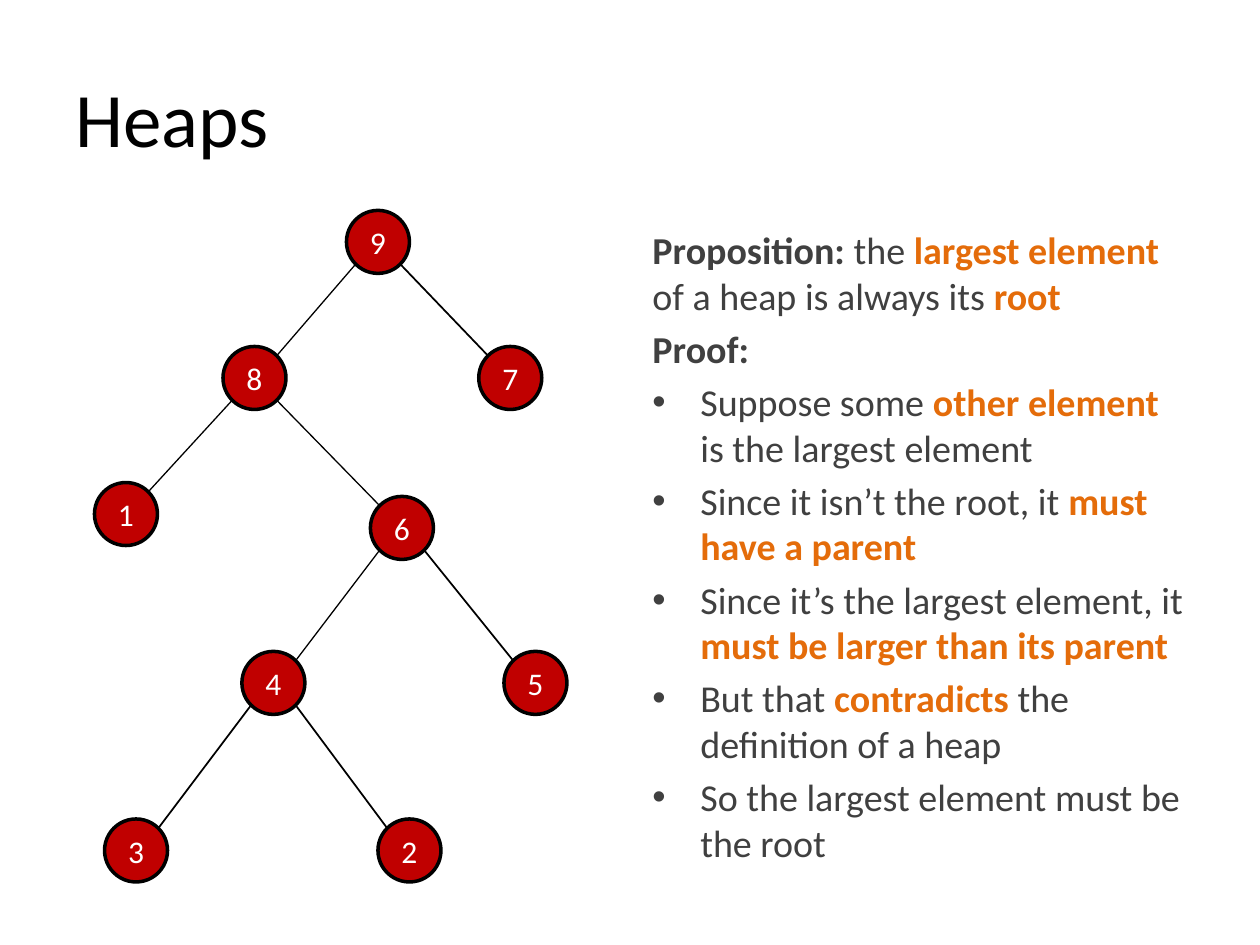
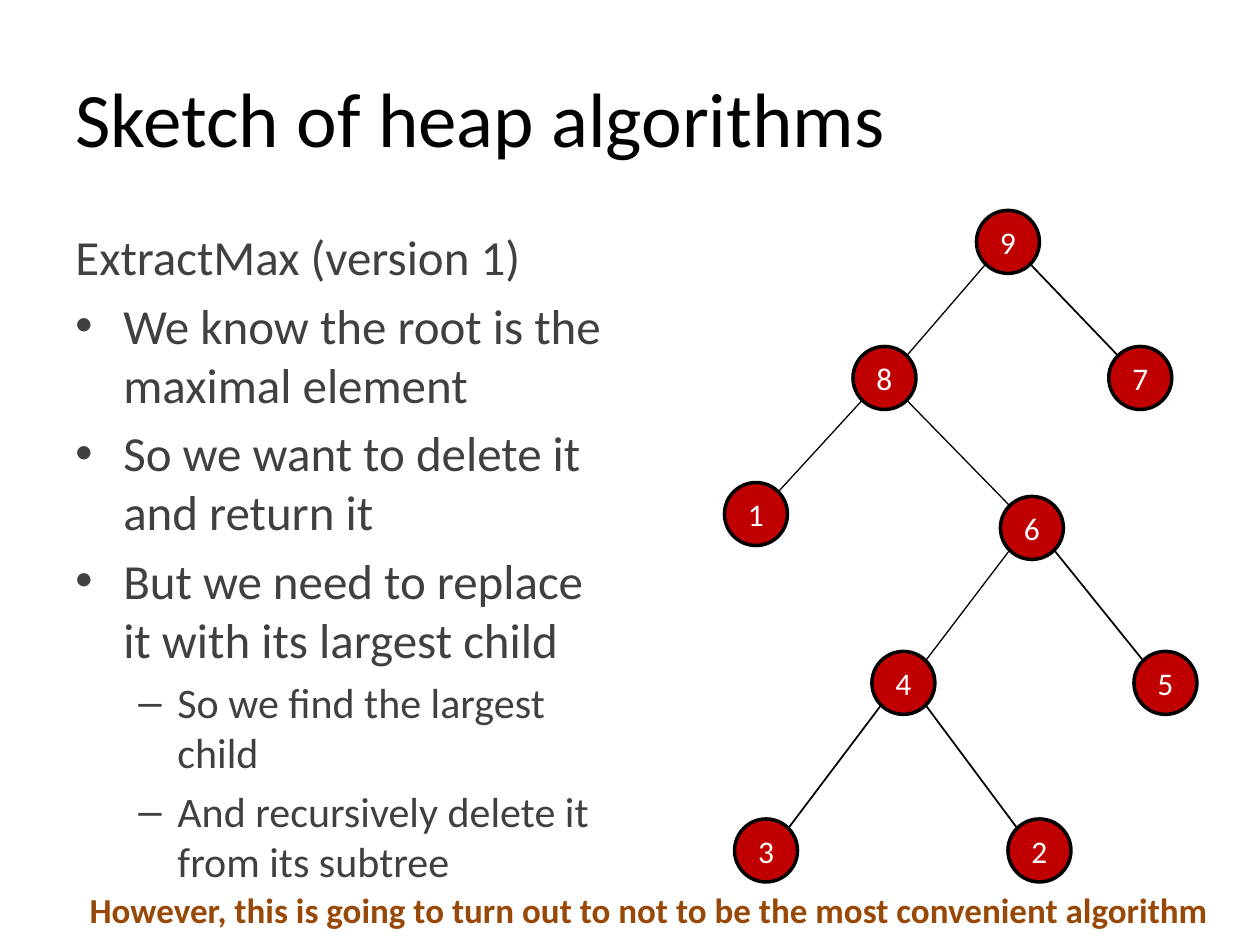
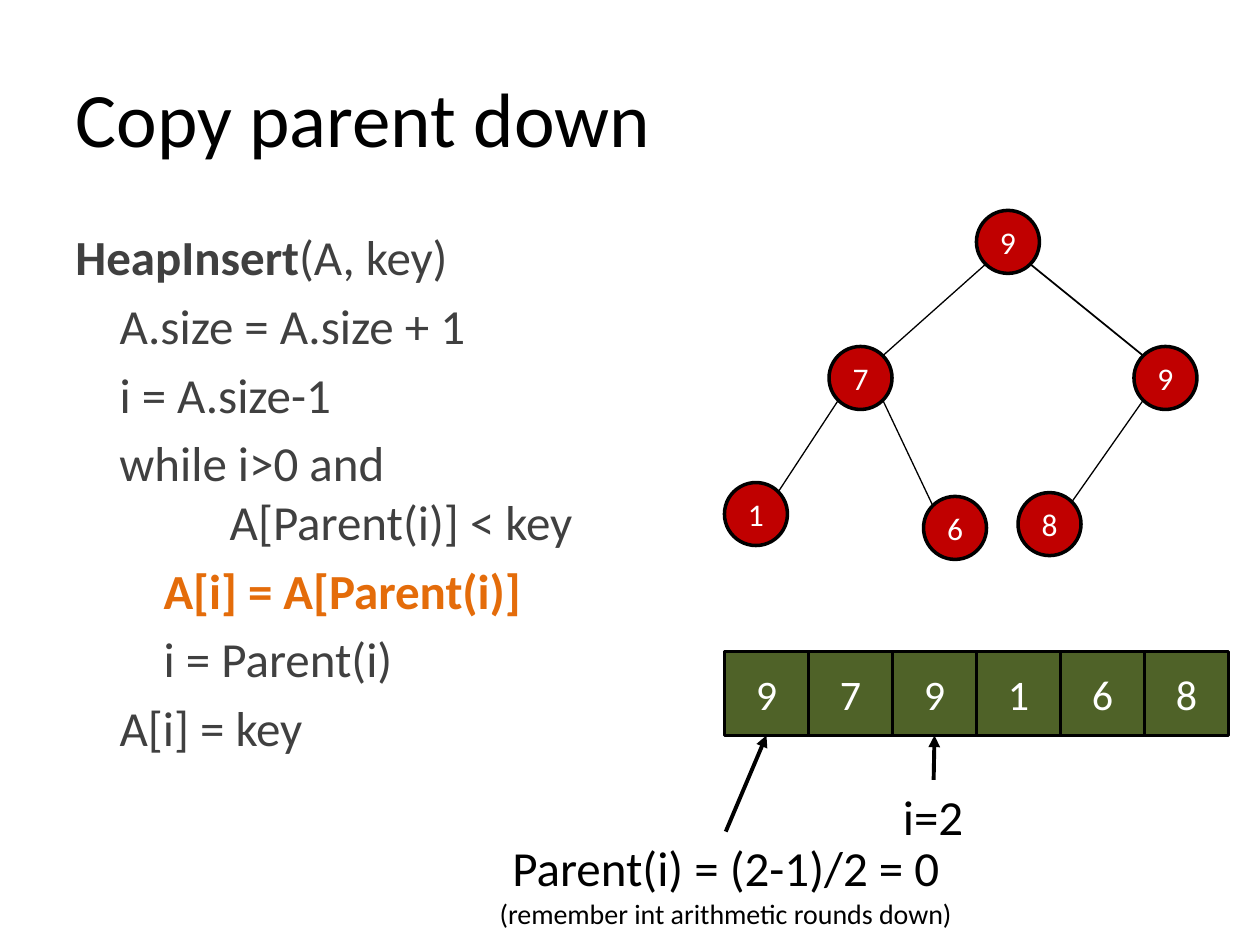
from dataclasses import dataclass
from math import sqrt

from lxml.etree import SubElement
from pptx import Presentation
from pptx.dml.color import RGBColor
from pptx.enum.shapes import MSO_CONNECTOR, MSO_SHAPE
from pptx.enum.text import MSO_ANCHOR, PP_ALIGN
from pptx.oxml.ns import qn
from pptx.util import Inches, Pt


@dataclass(frozen=True)
class Theme:
    font: str = "Calibri"
    ink: str = "000000"
    body: str = "404040"
    accent: str = "E46C0A"
    warning: str = "984807"
    node: str = "C00000"
    cell: str = "4F6228"
    light: str = "FFFFFF"
    title_size: float = 44
    large_size: float = 28
    medium_size: float = 24
    proof_size: float = 21.7
    remark_size: float = 20
    node_size: float = 18
    small_size: float = 16
    outline: float = 2
    arrow: float = 2.25
    thin: float = 0.75
    thick: float = 1


THEME = Theme()

# Run styles: colour and bold
STYLES = {
    "plain": (THEME.body, False),
    "strong": (THEME.body, True),
    "accent": (THEME.accent, True),
    "label": (THEME.ink, False),
    "light": (THEME.light, False),
    "warning": (THEME.warning, True),
}

# Paragraph levels: left margin, first-line indent, bullet
CODE_STEP = 0.35
LEVELS = {
    "flat": (0, 0, None),
    "bullet": (0.38, -0.38, "•"),
    "dash": (0.81, -0.31, "–"),
    "code": (CODE_STEP, 0, None),
    "wrapped code": (3.5 * CODE_STEP, -2.5 * CODE_STEP, None),
    "inner code": (2 * CODE_STEP, 0, None),
}

# Content: paragraphs are (level, size, runs), runs are (text, style)
PROOF = [
    ("flat", THEME.proof_size, [
        ("Proposition: ", "strong"), ("the ", "plain"), ("largest element ", "accent"),
        ("of a heap is always its ", "plain"), ("root", "accent")]),
    ("flat", THEME.proof_size, [("Proof:", "strong")]),
    ("bullet", THEME.proof_size, [
        ("Suppose some ", "plain"), ("other element ", "accent"),
        ("is the largest element", "plain")]),
    ("bullet", THEME.proof_size, [
        ("Since it isn’t the root, it ", "plain"), ("must have a parent", "accent")]),
    ("bullet", THEME.proof_size, [
        ("Since it’s the largest element, it ", "plain"),
        ("must be larger than its parent", "accent")]),
    ("bullet", THEME.proof_size, [
        ("But that ", "plain"), ("contradicts ", "accent"),
        ("the definition of a heap", "plain")]),
    ("bullet", THEME.proof_size, [("So the largest element must be the root", "plain")]),
]
EXTRACT_MAX = [
    ("flat", THEME.large_size, [("ExtractMax (version 1)", "plain")]),
    ("bullet", THEME.large_size, [("We know the root is the maximal element", "plain")]),
    ("bullet", THEME.large_size, [("So we want to delete it and return it", "plain")]),
    ("bullet", THEME.large_size, [
        ("But we need to replace it with its largest child", "plain")]),
    ("dash", THEME.medium_size, [("So we find the largest child", "plain")]),
    ("dash", THEME.medium_size, [("And recursively delete it from its subtree", "plain")]),
]
HEAP_INSERT = [
    ("flat", THEME.large_size, [("HeapInsert", "strong"), ("(A, key)", "plain")]),
    ("code", THEME.large_size, [("A.size = A.size + 1", "plain")]),
    ("code", THEME.large_size, [("i = A.size-1", "plain")]),
    ("wrapped code", THEME.large_size, [("while i>0 and\nA[Parent(i)] < key", "plain")]),
    ("inner code", THEME.large_size, [("A[i] = A[Parent(i)]", "accent")]),
    ("inner code", THEME.large_size, [("i = Parent(i)", "plain")]),
    ("code", THEME.large_size, [("A[i] = key", "plain")]),
]
REMARK = [("However, this is going to turn out to not to be the most convenient algorithm",
           "warning", THEME.remark_size)]
INDEX_NOTE = [("i=2", "label", THEME.large_size)]
PARENT_NOTE = [("Parent(i) = (2-1)/2 = 0\n", "label", THEME.large_size),
               ("(remember int arithmetic rounds down)", "label", THEME.small_size)]

# Tree nodes: label, left, top, position of the parent, width of the edge to it
LINKED_HEAP = [
    ("9", 2.75, 1.67, None, None),
    ("8", 1.77, 2.75, 0, THEME.thin),
    ("7", 3.8, 2.75, 0, THEME.thick),
    ("1", 0.75, 3.83, 1, THEME.thin),
    ("6", 2.94, 3.94, 1, THEME.thin),
    ("4", 1.92, 5.17, 4, THEME.thin),
    ("5", 4, 5.17, 4, THEME.thick),
    ("3", 0.83, 6.5, 5, THEME.thick),
    ("2", 3, 6.5, 5, THEME.thick),
]
ARRAY_HEAP = [
    ("9", 7.75, 1.67, None, None),
    ("7", 6.58, 2.75, 0, THEME.thin),
    ("9", 9, 2.75, 0, THEME.thick),
    ("1", 5.75, 3.83, 1, THEME.thin),
    ("6", 7.33, 3.94, 1, THEME.thin),
    ("8", 8.08, 3.91, 2, THEME.thin),
]
ARRAY_VALUES = "979168"
ARRAY_LEFT, ARRAY_TOP, CELL = 5.75, 5.17, 2 / 3
NODE = 0.5


# Text helpers
def add_run(paragraph, text, style, size):
    color, bold = STYLES[style]
    for position, line in enumerate(text.split("\n")):
        if position:
            paragraph.add_line_break()
        if line:
            run = paragraph.add_run()
            run.text = line
            run.font.name = THEME.font
            run.font.size = Pt(size)
            run.font.bold = bold
            run.font.color.rgb = RGBColor.from_string(color)


def set_level(paragraph, level):
    margin, indent, bullet = LEVELS[level]
    properties = paragraph._p.get_or_add_pPr()
    properties.set("marL", str(Inches(margin)))
    properties.set("indent", str(Inches(indent)))
    if bullet:
        SubElement(properties, qn("a:buFont")).set("typeface", "Arial")
        SubElement(properties, qn("a:buChar")).set("char", bullet)


def add_text_box(slide, box, wrap):
    frame = slide.shapes.add_textbox(*map(Inches, box)).text_frame
    frame.word_wrap = wrap
    return frame


def add_body(slide, box, content):
    frame = add_text_box(slide, box, True)
    for position, (level, size, runs) in enumerate(content):
        paragraph = frame.add_paragraph() if position else frame.paragraphs[0]
        paragraph.space_before = Pt(size * 0.2)
        set_level(paragraph, level)
        for text, style in runs:
            add_run(paragraph, text, style, size)


def add_note(slide, box, runs):
    paragraph = add_text_box(slide, box, False).paragraphs[0]
    paragraph.alignment = PP_ALIGN.CENTER
    for text, style, size in runs:
        add_run(paragraph, text, style, size)


# Diagram helpers
def add_labelled_shape(slide, kind, left, top, side, fill, label, size):
    shape = slide.shapes.add_shape(kind, *map(Inches, (left, top, side, side)))
    shape.shadow.inherit = False
    shape.fill.solid()
    shape.fill.fore_color.rgb = RGBColor.from_string(fill)
    shape.line.color.rgb = RGBColor.from_string(THEME.ink)
    shape.line.width = Pt(THEME.outline)
    frame = shape.text_frame
    frame.margin_left = frame.margin_right = frame.margin_top = frame.margin_bottom = 0
    frame.vertical_anchor = MSO_ANCHOR.MIDDLE
    frame.paragraphs[0].alignment = PP_ALIGN.CENTER
    add_run(frame.paragraphs[0], label, "light", size)


def add_line(slide, start, end, width, arrow=False):
    connector = slide.shapes.add_connector(
        MSO_CONNECTOR.STRAIGHT, *map(Inches, (*start, *end)))
    connector.line.color.rgb = RGBColor.from_string(THEME.ink)
    connector.line.width = Pt(width)
    if arrow:
        SubElement(connector.line._get_or_add_ln(), qn("a:tailEnd")).set("type", "triangle")
    SubElement(connector._element.spPr, qn("a:effectLst"))


def add_tree(slide, nodes, shift=0):
    centers = [(left + shift + NODE / 2, top + NODE / 2) for _, left, top, _, _ in nodes]
    diagonal = NODE / 2 / sqrt(2)
    for (label, left, top, parent, width), (x, y) in zip(nodes, centers):
        add_labelled_shape(slide, MSO_SHAPE.OVAL, left + shift, top, NODE,
                           THEME.node, label, THEME.node_size)
        if parent is not None:
            parent_x, parent_y = centers[parent]
            reach = diagonal if x > parent_x else -diagonal
            add_line(slide, (parent_x + reach, parent_y + diagonal),
                     (x - reach, y - diagonal), width)


def add_array(slide, values):
    for position, value in enumerate(values):
        add_labelled_shape(slide, MSO_SHAPE.RECTANGLE, ARRAY_LEFT + position * CELL,
                           ARRAY_TOP, CELL, THEME.cell, value, THEME.medium_size)


def point_to_cell(slide, start, position):
    end = (ARRAY_LEFT + (position + 0.5) * CELL, ARRAY_TOP + CELL)
    add_line(slide, start, end, THEME.arrow, arrow=True)


# Slides
def add_slide(presentation, title):
    slide = presentation.slides.add_slide(presentation.slide_layouts[5])
    placeholder = slide.shapes.title
    placeholder.left, placeholder.top = Inches(0.5), Inches(0.3)
    placeholder.width, placeholder.height = Inches(9), Inches(1.25)
    frame = placeholder.text_frame
    frame.vertical_anchor = MSO_ANCHOR.MIDDLE
    frame.paragraphs[0].alignment = PP_ALIGN.LEFT
    add_run(frame.paragraphs[0], title, "label", THEME.title_size)
    return slide


def main():
    presentation = Presentation()
    presentation.slide_width, presentation.slide_height = Inches(10), Inches(7.5)

    # Largest element proof
    slide = add_slide(presentation, "Heaps")
    add_body(slide, (5.08, 1.75, 4.42, 5.58), PROOF)
    add_tree(slide, LINKED_HEAP)

    # Extracting the maximum
    slide = add_slide(presentation, "Sketch of heap algorithms")
    add_body(slide, (0.5, 1.75, 4.42, 4.95), EXTRACT_MAX)
    add_tree(slide, LINKED_HEAP, shift=5)
    add_note(slide, (0.58, 7, 9.14, 0.44), REMARK)

    # Inserting into the array
    slide = add_slide(presentation, "Copy parent down")
    add_body(slide, (0.5, 1.75, 4.92, 4.58), HEAP_INSERT)
    add_tree(slide, ARRAY_HEAP)
    add_array(slide, ARRAY_VALUES)
    add_note(slide, (7.06, 6.19, 0.69, 0.57), INDEX_NOTE)
    point_to_cell(slide, (7.41, 6.19), 2)
    add_note(slide, (3.84, 6.6, 3.84, 0.84), PARENT_NOTE)
    point_to_cell(slide, (5.76, 6.6), 0)

    presentation.save("out.pptx")


if __name__ == "__main__":
    main()
